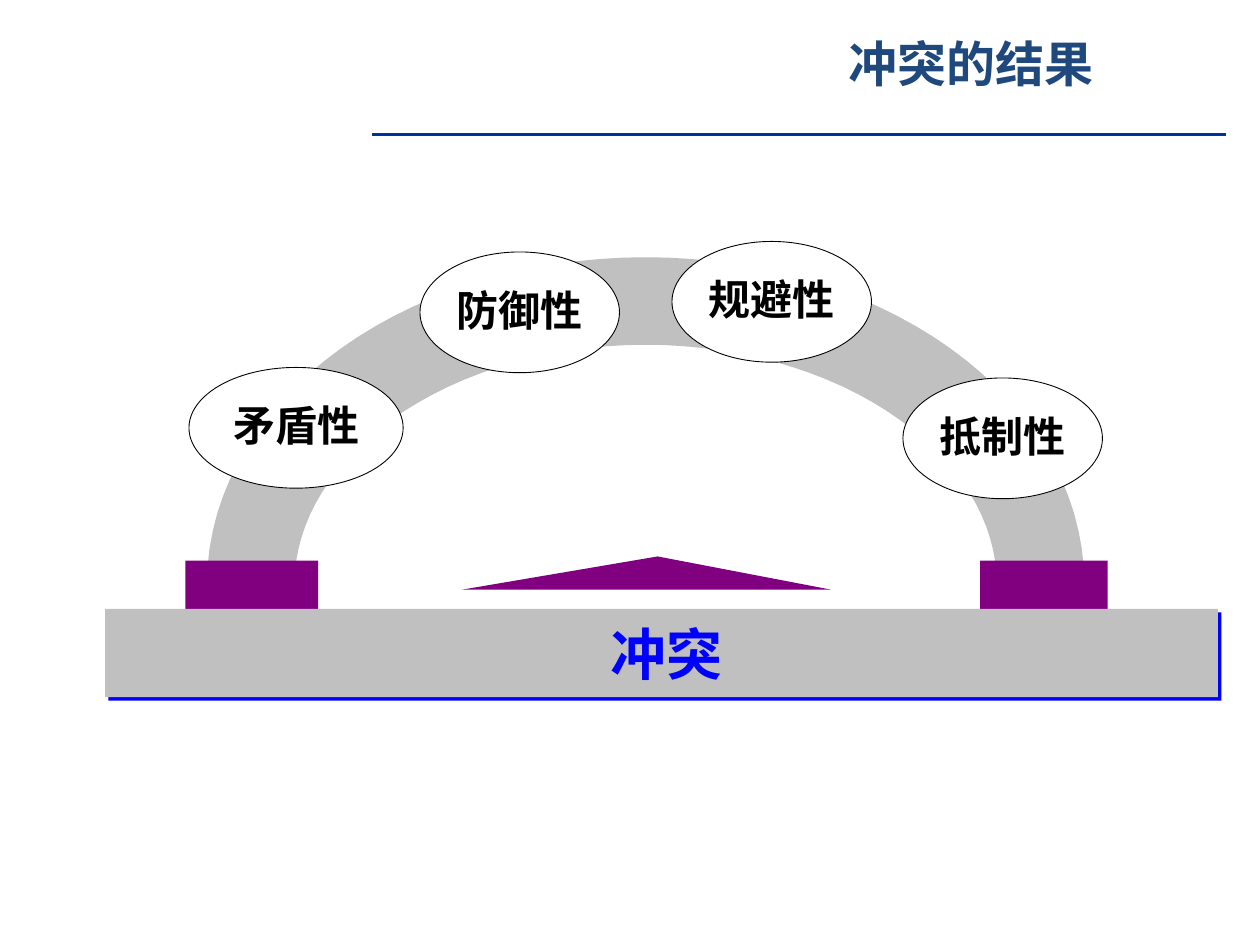
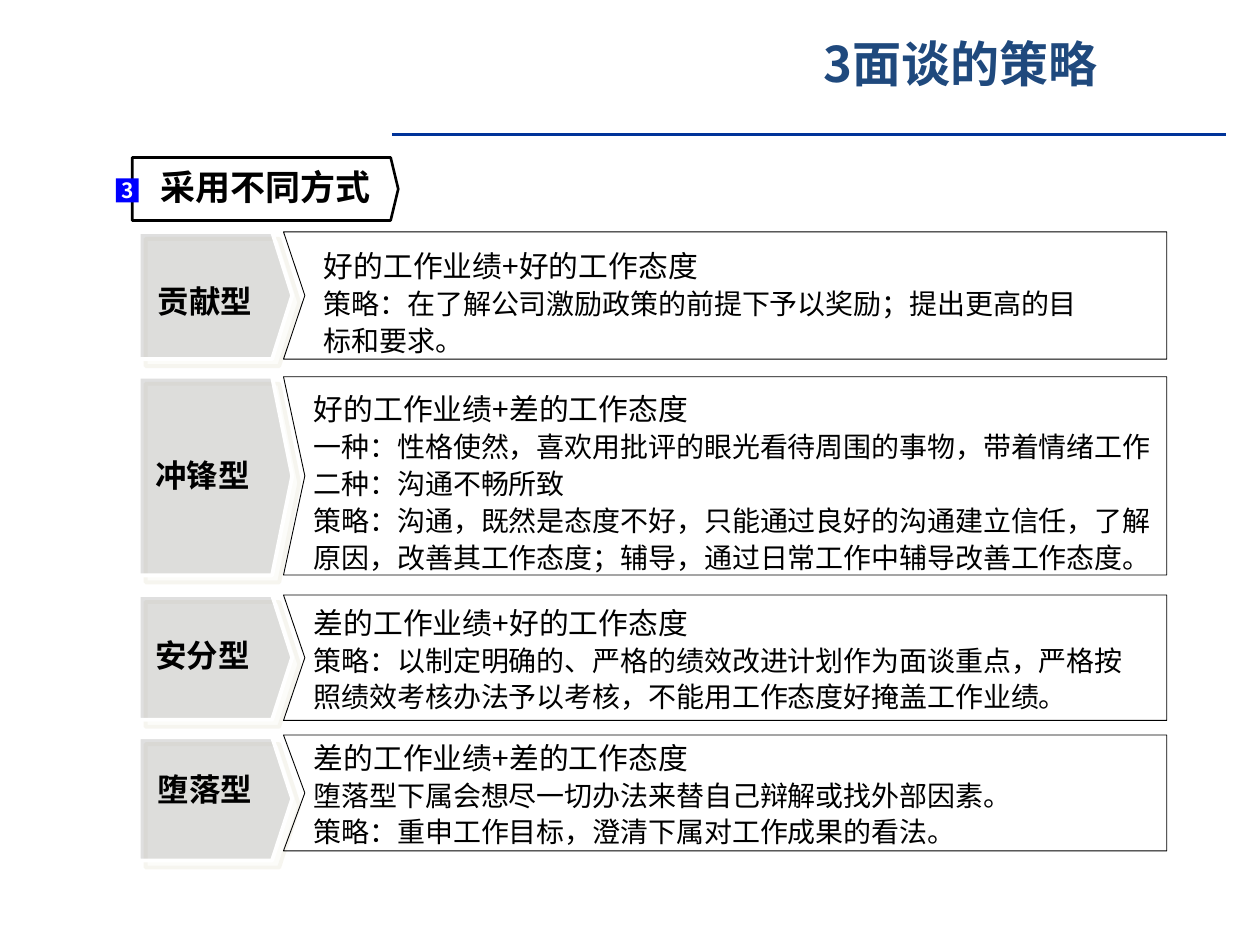
"""Build two slides on the results of conflict and on interview strategies."""
from math import cos, pi, sin

from lxml.etree import SubElement
from pptx import Presentation
from pptx.dml.color import RGBColor
from pptx.enum.shapes import MSO_CONNECTOR, MSO_SHAPE
from pptx.enum.text import MSO_ANCHOR, PP_ALIGN
from pptx.oxml.ns import qn
from pptx.util import Pt

SANS = "Noto Sans CJK SC"
BLACK, WHITE, BLUE = "000000", "FFFFFF", "0000FF"
GRAY, PURPLE, NAVY, RULE = "C0C0C0", "800080", "1F497D", "003399"
color = RGBColor.from_string


def paint(shape, fill=None, line=None, width=0.5, opacity=100, shadow=None):
    """Set fill, outline and an optional (colour, opacity, distance) shadow."""
    shape.shadow.inherit = False
    if fill:
        shape.fill.solid()
        shape.fill.fore_color.rgb = color(fill)
        if opacity < 100:
            tint = shape.element.spPr.find(qn("a:solidFill")).find(qn("a:srgbClr"))
            SubElement(tint, qn("a:alpha"), val=str(opacity * 1000))
    else:
        shape.fill.background()
    if line:
        shape.line.color.rgb = color(line)
        shape.line.width = Pt(width)
    else:
        shape.line.fill.background()
    if shadow:
        tone, strength, distance = shadow
        effects = shape.element.spPr.find(qn("a:effectLst"))
        outer = SubElement(effects, qn("a:outerShdw"), blurRad="0", dist=str(Pt(distance)),
                           dir="2700000", algn="ctr", rotWithShape="0")
        tint = SubElement(outer, qn("a:srgbClr"), val=tone)
        SubElement(tint, qn("a:alpha"), val=str(strength * 1000))


def write(shape, lines, sizes, ink=BLACK, bold=True, font=SANS, align=PP_ALIGN.CENTER,
          spacing=None, insets=(0, 0, 0, 0)):
    """Write one paragraph per line; the last size serves all further lines."""
    frame = shape.text_frame
    frame.word_wrap = True
    frame.vertical_anchor = MSO_ANCHOR.MIDDLE
    frame.margin_left, frame.margin_top, frame.margin_right, frame.margin_bottom = map(Pt, insets)
    frame.text = "\n".join(lines)
    for index, para in enumerate(frame.paragraphs):
        para.alignment = align
        if spacing:
            para.line_spacing = Pt(spacing)
        for span in para.runs:
            span.font.size = Pt(sizes[min(index, len(sizes) - 1)])
            span.font.bold = bold
            span.font.name = font
            span.font.color.rgb = color(ink)
            SubElement(span.font._element, qn("a:ea"), typeface=font)


deck = Presentation()
deck.slide_width, deck.slide_height = Pt(720), Pt(540)

pages = []
for title, left, width, rule_starts in [
    ("冲突的结果", 420, 270, [212.4, 224]),
    ("3面谈的策略", 432, 234, [224]),
]:
    page = deck.slides.add_slide(deck.slide_layouts[5])
    heading = page.shapes.title
    heading.left, heading.top, heading.width, heading.height = map(Pt, (left, 12.2, width, 47.5))
    write(heading, [title], [28], NAVY, insets=(7.2, 3.6, 7.2, 3.6))
    for start in rule_starts:
        rule = page.shapes.add_connector(MSO_CONNECTOR.STRAIGHT, Pt(start), Pt(77),
                                         Pt(start + 476.6), Pt(77))
        rule.line.color.rgb = color(RULE)
        rule.line.width = Pt(2)
        SubElement(rule.element.spPr, qn("a:effectLst"))
    pages.append(page)

result_page, strategy_page = pages

shapes = result_page.shapes
center_x, center_y, radius_x, radius_y, steps = 369, 334, 225.7, 162, 60
arc = [(Pt(center_x - radius_x * cos(pi * step / steps)),
        Pt(center_y - radius_y * sin(pi * step / steps))) for step in range(steps + 1)]
builder = shapes.build_freeform(*arc[0])
builder.add_line_segments(arc[1:], close=False)
paint(builder.convert_to_shape(), line=GRAY, width=50)

for left, width in [(106, 75.8), (560, 73)]:
    pillar = shapes.add_shape(MSO_SHAPE.RECTANGLE, Pt(left), Pt(320.4), Pt(width), Pt(29))
    paint(pillar, PURPLE)

base = shapes.add_shape(MSO_SHAPE.RECTANGLE, Pt(60), Pt(348), Pt(636), Pt(50.4))
paint(base, GRAY, shadow=(BLUE, 100, 2.8))
write(base, ["冲突"], [32], BLUE, font="Arial", insets=(5.8, 0, 0, 0))

wedge = shapes.add_shape(MSO_SHAPE.ISOSCELES_TRIANGLE, Pt(264), Pt(318), Pt(211), Pt(19))
wedge.adjustments[0] = 0.53
paint(wedge, PURPLE)

for label, left, top, width, font in [
    ("矛盾性", 108, 210, 122.4, "Arial"),
    ("抵制性", 516, 216, 114, SANS),
    ("防御性", 240, 144, 114, SANS),
    ("规避性", 384, 138, 114, "Arial"),
]:
    oval = shapes.add_shape(MSO_SHAPE.OVAL, Pt(left), Pt(top), Pt(width), Pt(69))
    paint(oval, WHITE, BLACK)
    write(oval, [label], [24], font=font, insets=(0, 0, 0, 3))

shapes = strategy_page.shapes
plate_left, plate_width, tip = 79.2, 87.8, 11.5
panel_left, panel_right, notch = 162, 666.7, 12.2
types = [
    ("贡献型", 90, 161.3, (132.5, 72.7), (132.5, 72.7), (185, 140.2, 448), [
        "好的工作业绩+好的工作态度",
        "策略：在了解公司激励政策的前提下予以奖励；提出更高的目",
        "标和要求。"]),
    ("冲锋型", 88.6, 260.6, (215.3, 113.5), (215.3, 113.3), (179.3, 222, 510), [
        "好的工作业绩+差的工作态度",
        "一种：性格使然，喜欢用批评的眼光看待周围的事物，带着情绪工作",
        "二种：沟通不畅所致",
        "策略：沟通，既然是态度不好，只能通过良好的沟通建立信任，了解",
        "原因，改善其工作态度；辅导，通过日常工作中辅导改善工作态度。"]),
    ("安分型", 88.6, 363.6, (340, 71.3), (340, 71.7), (179.3, 343.8, 476), [
        "差的工作业绩+好的工作态度",
        "策略：以制定明确的、严格的绩效改进计划作为面谈重点，严格按",
        "照绩效考核办法予以考核，不能用工作态度好掩盖工作业绩。"]),
    ("堕落型", 90, 440, (421.2, 70.5), (420, 66.2), (179.3, 421, 448), [
        "差的工作业绩+差的工作态度",
        "堕落型下属会想尽一切办法来替自己辩解或找外部因素。",
        "策略：重申工作目标，澄清下属对工作成果的看法。"]),
]
for label, label_left, label_top, plate_span, panel_span, body_place, lines in types:
    top, height = plate_span
    plate = shapes.add_shape(MSO_SHAPE.PENTAGON, Pt(plate_left), Pt(top),
                             Pt(plate_width), Pt(height))
    plate.adjustments[0] = tip / min(plate_width, height)
    paint(plate, "969696", WHITE, 2.25, opacity=30, shadow=("EEECE1", 50, 5.7))

    name = shapes.add_textbox(Pt(label_left), Pt(label_top), Pt(68.4), Pt(21.6))
    write(name, [label], [18], align=PP_ALIGN.LEFT)

    top, height = panel_span
    builder = shapes.build_freeform(Pt(panel_right), Pt(top))
    builder.add_line_segments([(Pt(x), Pt(y)) for x, y in [
        (panel_left, top), (panel_left + notch, top + height / 2),
        (panel_left, top + height), (panel_right, top + height)]], close=True)
    paint(builder.convert_to_shape(), line=BLACK)

    left, top, width = body_place
    body = shapes.add_textbox(Pt(left), Pt(top), Pt(width), Pt(21 * len(lines) + 1.8))
    write(body, lines, [17, 16], bold=False, align=PP_ALIGN.LEFT, spacing=21)

banner = shapes.add_shape(MSO_SHAPE.PENTAGON, Pt(75.6), Pt(90), Pt(152), Pt(36))
banner.adjustments[0] = 0.12
paint(banner, WHITE, BLACK, 1.5)
write(banner, ["采用不同方式"], [20], font="Arial", align=PP_ALIGN.LEFT, insets=(16, 0, 0, 3))

badge = shapes.add_shape(MSO_SHAPE.RECTANGLE, Pt(66.2), Pt(102), Pt(13), Pt(13.7))
paint(badge, BLUE)
write(badge, ["3"], [12], WHITE)

deck.save("out.pptx")
